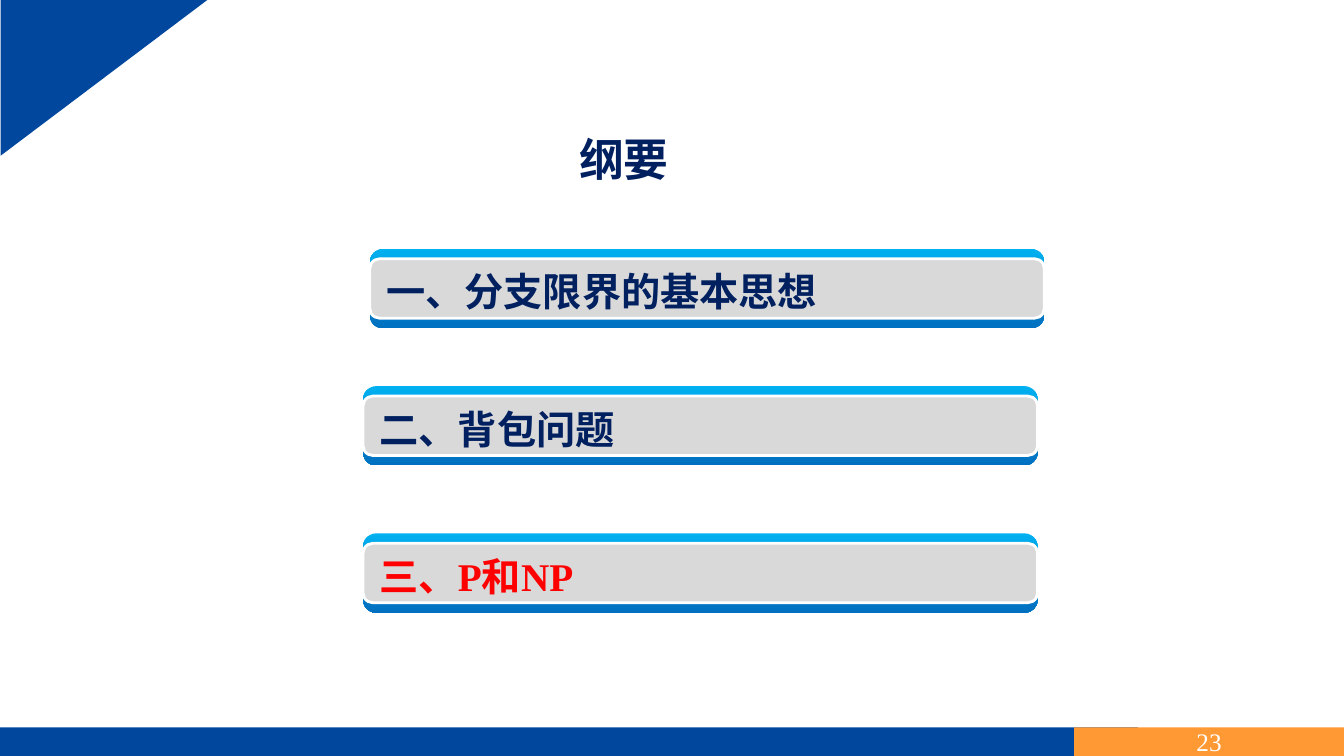
from pptx import Presentation
from pptx.dml.color import RGBColor
from pptx.enum.shapes import MSO_SHAPE
from pptx.enum.text import MSO_ANCHOR, PP_ALIGN
from pptx.util import Cm, Pt

RECT = MSO_SHAPE.RECTANGLE
ROUND = MSO_SHAPE.ROUNDED_RECTANGLE
WEDGE = MSO_SHAPE.RIGHT_TRIANGLE
LEFT, CENTER = PP_ALIGN.LEFT, PP_ALIGN.CENTER
TOP, MIDDLE = MSO_ANCHOR.TOP, MSO_ANCHOR.MIDDLE

FONT = "Times New Roman"
BLUE, ORANGE, NAVY, RED = "00479D", "FF9933", "002060", "FF0000"
WHITE, GREY, SKY, DEEP = "FFFFFF", "D9D9D9", "00B0F0", "0070C0"

# Agenda bars: left, top, label, text colour
BARS = [
    (9.32, 6.27, "一、分支限界的基本思想", NAVY),
    (9.15, 9.73, "二、背包问题", NAVY),
    (9.15, 13.44, "三、P和NP", RED),
]


def color(code):
    return RGBColor.from_string(code)


def add_block(shapes, kind, left, top, width, height, fill=None):
    """Add a flat shape without line or shadow."""
    block = shapes.add_shape(kind, Cm(left), Cm(top), Cm(width), Cm(height))
    block.shadow.inherit = False
    block.line.fill.background()
    if fill:
        block.fill.solid()
        block.fill.fore_color.rgb = color(fill)
    return block


def set_text(shape, text, size, code, bold=True, align=LEFT, anchor=TOP):
    frame = shape.text_frame
    frame.text = text
    frame.word_wrap = True
    frame.vertical_anchor = anchor
    line = frame.paragraphs[0]
    line.alignment = align
    for run in line.runs:
        run.font.name = FONT
        run.font.size = Pt(size)
        run.font.bold = bold
        run.font.color.rgb = color(code)


def add_bar(slide, left, top, label, code):
    """Add a grey plate with its label on a shaded base."""
    shapes = slide.shapes.add_group_shape().shapes

    base = add_block(shapes, ROUND, left, top, 17, 2)
    base.fill.gradient()
    base.fill.gradient_angle = 270
    for stop, shade in zip(base.fill.gradient_stops, (SKY, DEEP)):
        stop.color.rgb = color(shade)

    plate = add_block(shapes, ROUND, left, top + 0.25, 17, 1.5, GREY)
    plate.line.color.rgb = color(WHITE)
    plate.line.width = Pt(2)

    box = shapes.add_textbox(Cm(left + 0.17), Cm(top + 0.35), Cm(16.38), Cm(1.45))
    set_text(box, label, 28, code)


def add_frame(slide):
    """Add the footer bands, page number and corner."""
    shapes = slide.shapes
    add_block(shapes, RECT, 0, 18.33, 28.68, 0.72, BLUE)
    page = add_block(shapes, RECT, 27.07, 18.33, 6.8, 0.72, ORANGE)
    set_text(page, "23", 18, WHITE, False, CENTER, MIDDLE)
    corner = add_block(shapes, WEDGE, 0.66, -0.66, 3.94, 5.23, BLUE)
    corner.rotation = 90


def add_title(slide):
    title = slide.shapes.title
    title.left, title.top = Cm(10.16), Cm(3.18)
    title.width, title.height = Cm(11.13), Cm(1.63)
    set_text(title, "纲要", 32, NAVY, align=CENTER)


def main():
    deck = Presentation()
    deck.slide_width, deck.slide_height = Cm(33.87), Cm(19.05)
    slide = deck.slides.add_slide(deck.slide_layouts[5])
    add_frame(slide)
    add_title(slide)
    for bar in BARS:
        add_bar(slide, *bar)
    deck.save("out.pptx")


if __name__ == "__main__":
    main()
